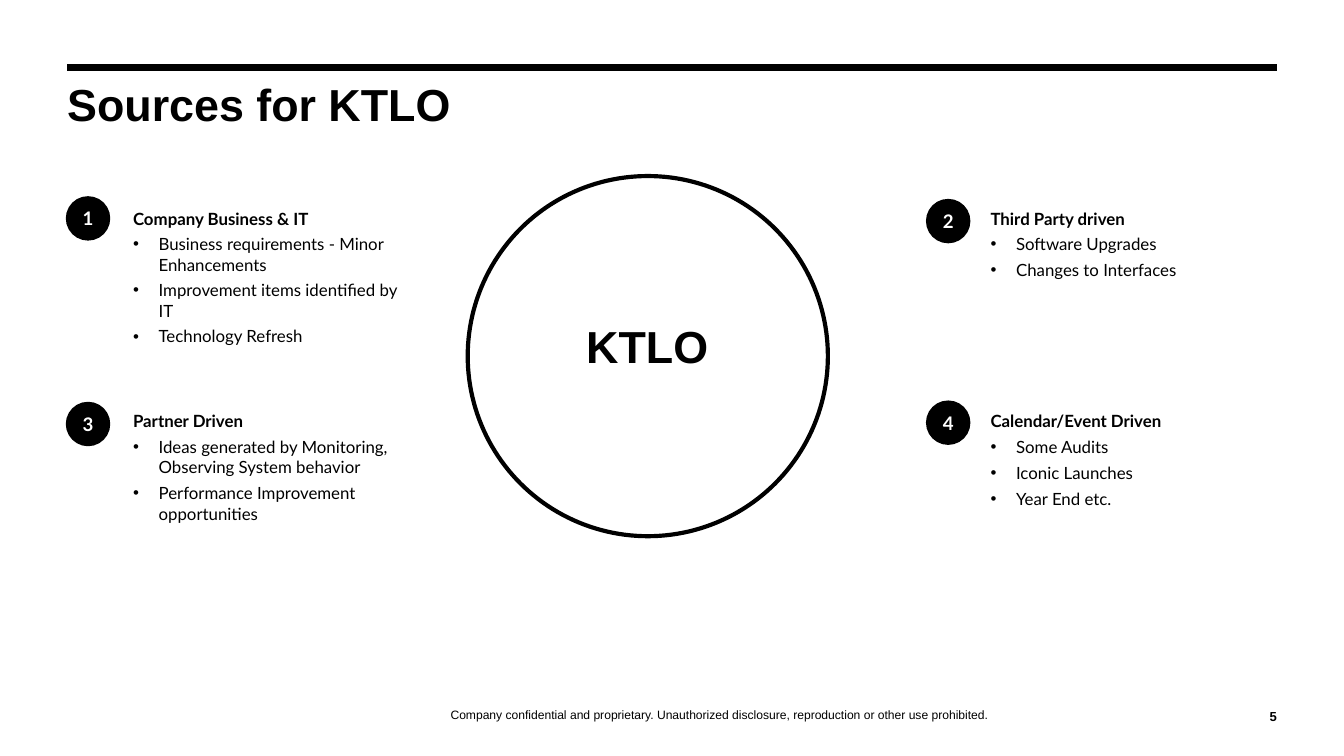
from lxml import etree
from pptx import Presentation
from pptx.dml.color import RGBColor
from pptx.enum.shapes import MSO_CONNECTOR, MSO_SHAPE
from pptx.enum.text import MSO_ANCHOR as Anchor, MSO_AUTO_SIZE as AutoSize, PP_ALIGN as Align
from pptx.oxml.ns import qn
from pptx.util import Inches, Pt

BLACK, WHITE = "000000", "FFFFFF"
BADGE_SIZE = 0.31
TEXT_WIDTH = 1.98

SOURCES = [
    ("1", (0.5, 1.47), (0.99, 1.5), "Company Business & IT",
     ["Business requirements - Minor Enhancements",
      "Improvement items identified by IT", "Technology Refresh"]),
    ("2", (6.9, 1.49), (7.37, 1.5), "Third Party driven",
     ["Software Upgrades", "Changes to Interfaces"]),
    ("3", (0.5, 3), (0.99, 3.01), "Partner Driven",
     ["Ideas generated by Monitoring, Observing System behavior",
      "Performance Improvement opportunities"]),
    ("4", (6.9, 2.99), (7.37, 3.01), "Calendar/Event Driven",
     ["Some Audits", "Iconic Launches", "Year End etc."]),
]


def color(value):
    return RGBColor.from_string(value)


def set_frame(frame, anchor=Anchor.TOP, side=0, edge=0):
    frame.word_wrap = True
    frame.auto_size = AutoSize.NONE
    frame.vertical_anchor = anchor
    frame.margin_left = frame.margin_right = Inches(side)
    frame.margin_top = frame.margin_bottom = Inches(edge)


def write(para, text, size, font="Arial", ink=BLACK, bold=True, align=Align.LEFT):
    para.text = text
    para.alignment = align
    para.font.name = font
    para.font.size = Pt(size)
    para.font.bold = bold
    para.font.color.rgb = color(ink)


def add_text(page, box, text, size, anchor=Anchor.TOP, side=0, edge=0, **style):
    frame = page.shapes.add_textbox(*map(Inches, box)).text_frame
    set_frame(frame, anchor, side, edge)
    write(frame.paragraphs[0], text, size, **style)
    return frame


def add_circle(page, left, top, size, line_width, fill=None):
    circle = page.shapes.add_shape(
        MSO_SHAPE.OVAL, Inches(left), Inches(top), Inches(size), Inches(size))
    circle.shadow.inherit = False
    circle.line.color.rgb = color(BLACK)
    circle.line.width = Pt(line_width)
    if fill:
        circle.fill.solid()
        circle.fill.fore_color.rgb = color(fill)
    else:
        circle.fill.background()
    return circle


def add_bullet(para):
    properties = para._p.get_or_add_pPr()
    properties.set("marL", str(Inches(0.19)))
    properties.set("indent", str(-Inches(0.19)))
    bullet_color = etree.SubElement(properties, qn("a:buClr"))
    etree.SubElement(bullet_color, qn("a:srgbClr"), val=BLACK)
    etree.SubElement(properties, qn("a:buFont"), typeface="Arial")
    etree.SubElement(properties, qn("a:buChar"), char="•")


def add_source(page, number, badge_at, text_at, heading, items):
    badge = add_circle(page, *badge_at, BADGE_SIZE, 1.5, BLACK)
    set_frame(badge.text_frame, Anchor.MIDDLE)
    write(badge.text_frame.paragraphs[0], number, 10, "Lato", WHITE, align=Align.CENTER)

    frame = add_text(page, (*text_at, TEXT_WIDTH, 1.09), heading, 9, edge=0.05, font="Lato")
    for item in items:
        para = frame.add_paragraph()
        add_bullet(para)
        para.space_before = Pt(3)
        write(para, item, 9, "Lato", bold=False)


def add_header(page, left, top, width):
    rule = page.shapes.add_connector(
        MSO_CONNECTOR.STRAIGHT, Inches(left), Inches(top), Inches(left + width), Inches(top))
    rule.line.color.rgb = color(BLACK)
    rule.line.width = Pt(3.75)
    etree.SubElement(rule._element.spPr, qn("a:effectLst"))

    title = page.shapes.title
    title.left, title.top = Inches(left), Inches(top + 0.15)
    title.width, title.height = Inches(7.36), Inches(0.43)
    set_frame(title.text_frame)
    para = title.text_frame.paragraphs[0]
    write(para, "Sources for KTLO", 24)
    para.line_spacing = 0.8


def add_hub(page, left, top, size):
    add_circle(page, left, top, size, 2.25)
    add_text(page, (left + 0.51, top + 1.01, 1.65, 0.91), "KTLO", 24,
             side=0.1, edge=0.05, align=Align.CENTER)


def add_footer(page, left, top, width):
    notice = add_text(
        page, (left, top, width, 0.33),
        "Company confidential and proprietary. Unauthorized disclosure, "
        "reproduction or other use prohibited.",
        6.5, Anchor.BOTTOM, bold=False, align=Align.CENTER)
    notice.paragraphs[0].line_spacing = 1.14
    add_text(page, (left + width, top + 0.1, 0.25, 0.25), "5", 7,
             Anchor.BOTTOM, align=Align.RIGHT)


def main():
    deck = Presentation()
    deck.slide_width = Inches(10)
    deck.slide_height = deck.slide_width * 9 // 16
    page = deck.slides.add_slide(deck.slide_layouts[5])
    add_header(page, 0.5, 0.5, 9)
    add_hub(page, 3.48, 1.31, 2.68)
    for source in SOURCES:
        add_source(page, *source)
    add_footer(page, 1.46, 5.04, 7.79)
    deck.save("out.pptx")


if __name__ == "__main__":
    main()
